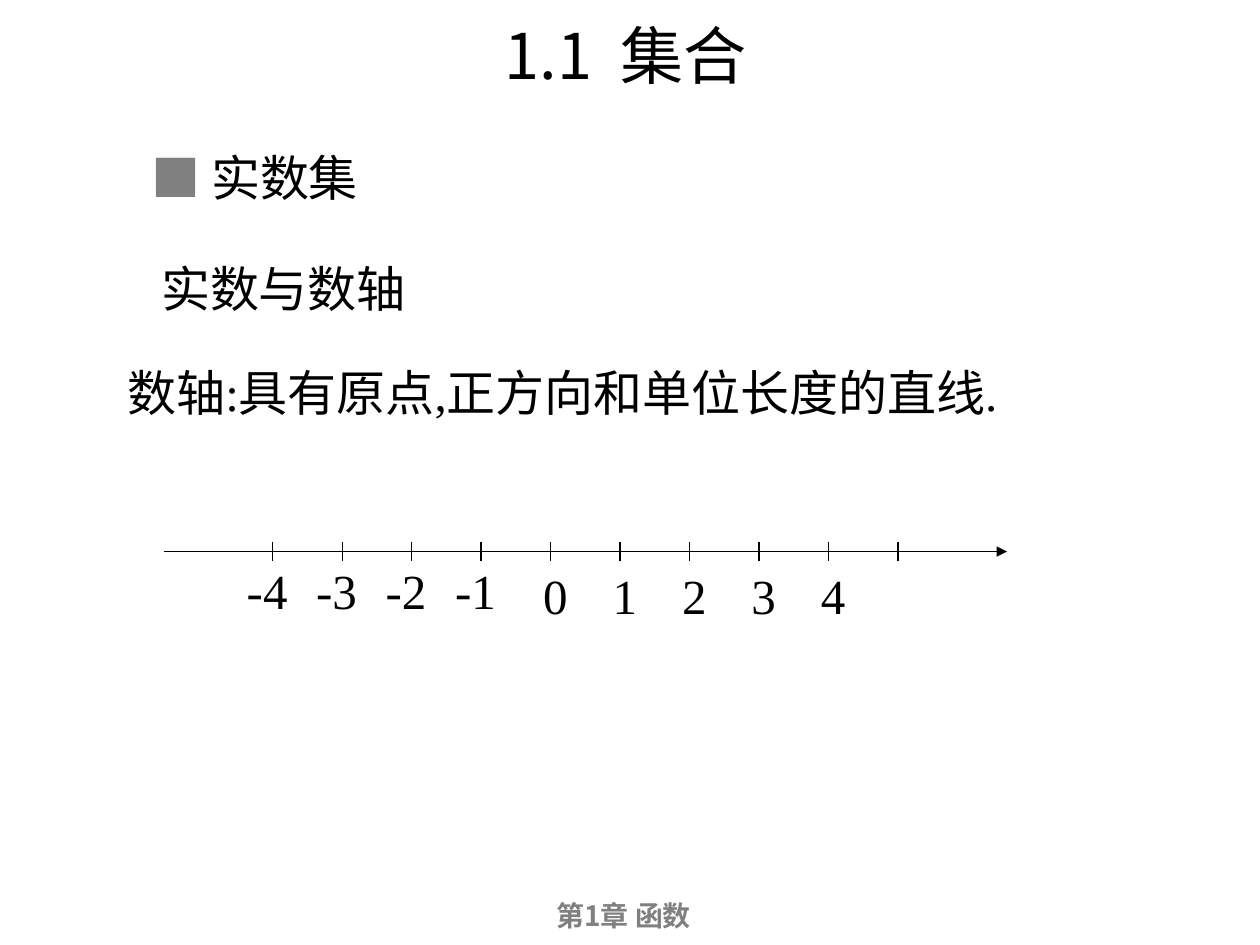
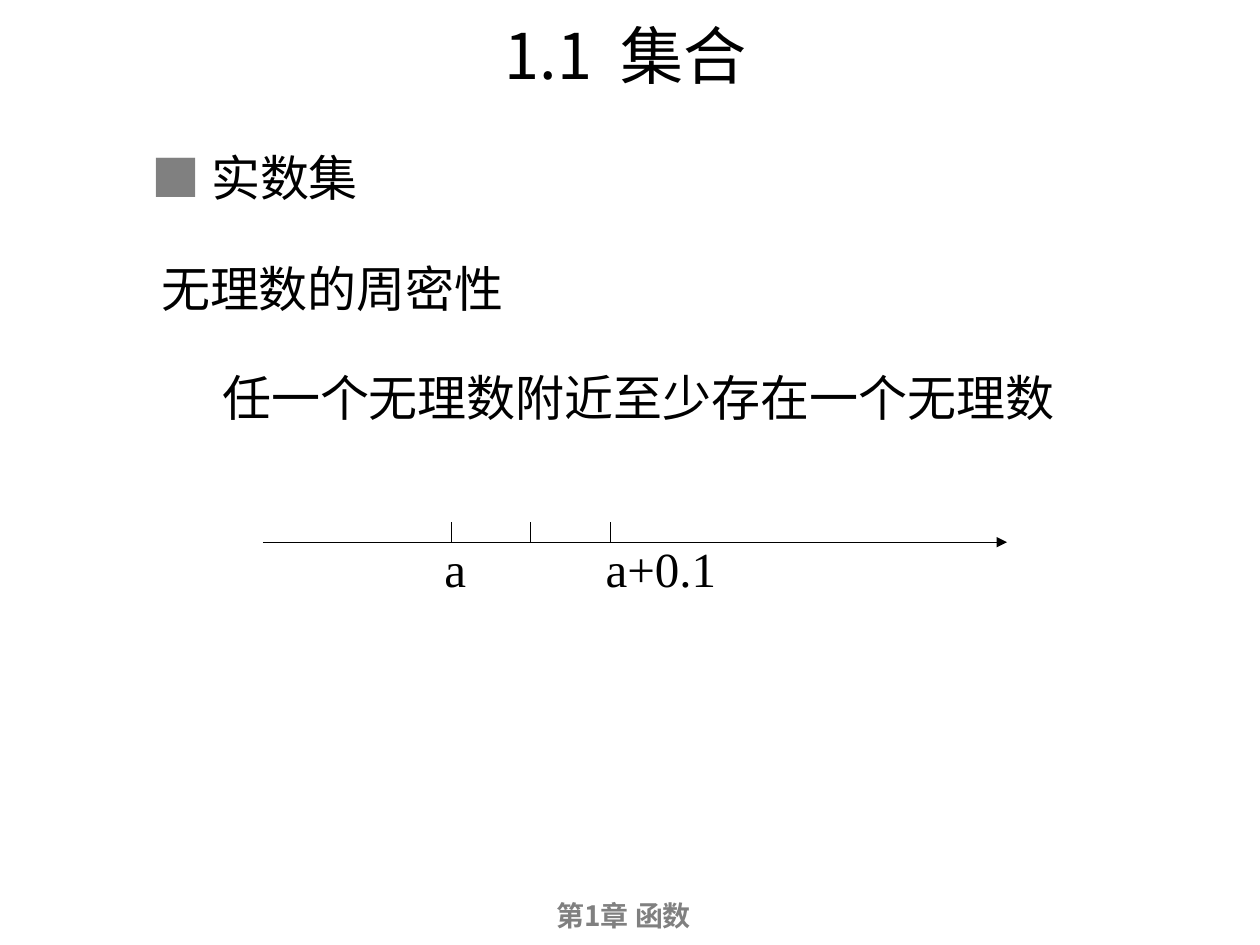
from lxml.etree import SubElement
from pptx import Presentation
from pptx.dml.color import RGBColor
from pptx.enum.shapes import MSO_CONNECTOR as Connector
from pptx.enum.text import MSO_AUTO_SIZE as AutoSize, PP_ALIGN as Align
from pptx.oxml.ns import qn
from pptx.util import Cm, Pt

# Shared style
BLACK, GREY = "000000", "808080"
SERIF, BULLET_FONT = "Times New Roman", "Arial"
CJK, TITLE_FONT = "Noto Sans CJK SC", "Noto Sans CJK JP"
BODY_SIZE, LINE_HEIGHT = 28, 1.45
AXIS_END = 20.3


def color(hex_code):
    return RGBColor.from_string(hex_code)


def style_run(run, font_name, size, hex_code, bold=False):
    font = run.font
    font.name, font.size, font.bold = font_name, Pt(size), bold
    font.color.rgb = color(hex_code)
    east_asian = CJK if font_name in (SERIF, BULLET_FONT) else font_name
    SubElement(run._r.get_or_add_rPr(), qn("a:ea")).set("typeface", east_asian)


def add_text(slide, left, top, width, pieces, height=LINE_HEIGHT,
             size=BODY_SIZE, align=Align.LEFT, wrap=True, bold=False):
    """Add one line of text; each piece is (text, font, colour)."""
    frame = slide.shapes.add_textbox(
        Cm(left), Cm(top), Cm(width), Cm(height)).text_frame
    frame.word_wrap = wrap
    frame.auto_size = AutoSize.SHAPE_TO_FIT_TEXT
    line = frame.paragraphs[0]
    line.alignment = align
    for text, font_name, hex_code in pieces:
        run = line.add_run()
        run.text = text
        style_run(run, font_name, size, hex_code, bold)
    return line


def add_serif(slide, left, top, width, text):
    add_text(slide, left, top, width, [(text, SERIF, BLACK)], wrap=False)


def add_line(slide, x1, y1, x2, y2, arrow=False):
    stroke = slide.shapes.add_connector(
        Connector.STRAIGHT, Cm(x1), Cm(y1), Cm(x2), Cm(y2))
    stroke.line.color.rgb = color(BLACK)
    stroke.line.width = Pt(0.75)
    if arrow:
        SubElement(stroke.line._get_or_add_ln(), qn("a:tailEnd")).set("type", "triangle")
    SubElement(stroke._element.spPr, qn("a:effectLst"))


def add_axis(slide, start, y, ticks, above, below):
    add_line(slide, start, y, AXIS_END, y, arrow=True)
    for x in ticks:
        add_line(slide, x, y - above, x, y + below)


def add_topic_slide(deck, topic, topic_width):
    slide = deck.slides.add_slide(deck.slide_layouts[6])
    # Title, with a widened space after the section number
    title = add_text(slide, 0.84, 0.2, 23.55,
                     [(part, TITLE_FONT, BLACK) for part in ("1.1", " ", "集合")],
                     height=1.78, size=36, align=Align.CENTER)
    title.runs[1]._r.get_or_add_rPr().set("spc", "800")
    # Footer
    add_text(slide, 0.8, 17.98, 23.55, [("第1章 函数", CJK, GREY)],
             height=0.94, size=16, align=Align.CENTER, bold=True)
    # Section and topic
    add_text(slide, 2.8, 2.84, 7.29,
             [("■ ", BULLET_FONT, GREY), ("实数集", CJK, BLACK)])
    add_text(slide, 3, 5.08, topic_width, [(topic, CJK, BLACK)])
    return slide


def build_number_line(deck):
    slide = add_topic_slide(deck, "实数与数轴", 7.29)
    add_serif(slide, 2.32, 7.19, 19.3, "数轴:具有原点,正方向和单位长度的直线.")
    first, unit = 5.5, 1.4
    ticks = [first + unit * i for i in range(10)]
    add_axis(slide, 3.3, 11.12, ticks, above=0.2, below=0.2)
    # Negative numbers sit a little left and higher, the others right and lower
    for number, x in zip(range(-4, 5), ticks):
        width, shift, top = (1.45, -0.05, 11.18) if number < 0 else (1, 0.1, 11.28)
        add_serif(slide, x + shift - width / 2, top, width, str(number))


def build_density(deck):
    slide = add_topic_slide(deck, "无理数的周密性", 8.69)
    add_serif(slide, 4.23, 7.29, 17.35, "任一个无理数附近至少存在一个无理数")
    ticks = [9.1 + 1.6 * i for i in range(3)]
    add_axis(slide, 5.3, 10.93, ticks, above=0.4, below=0)
    add_serif(slide, 8.71, 10.73, 1, "a")
    add_serif(slide, 11.96, 10.73, 2.9, "a+0.1")


def main():
    deck = Presentation()
    deck.slide_width, deck.slide_height = Cm(25.4), Cm(19.05)
    build_number_line(deck)
    build_density(deck)
    deck.save("out.pptx")


if __name__ == "__main__":
    main()
